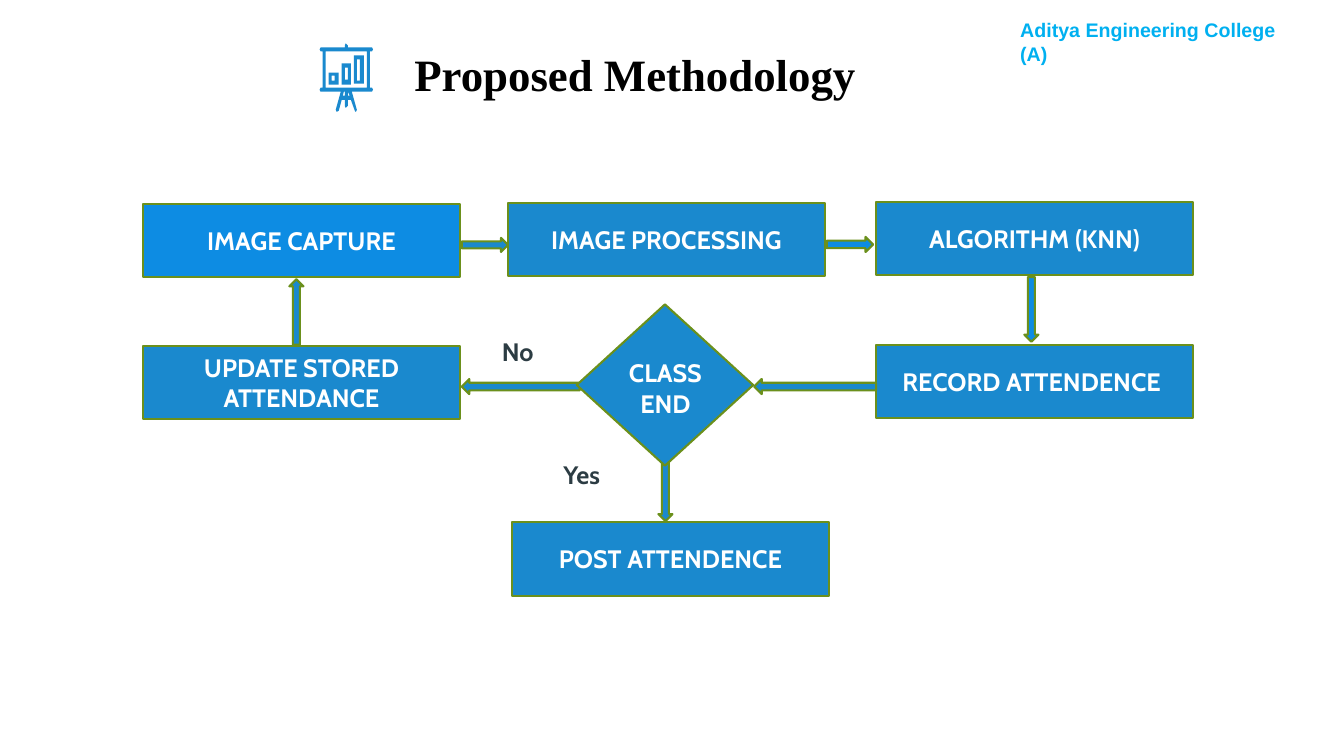
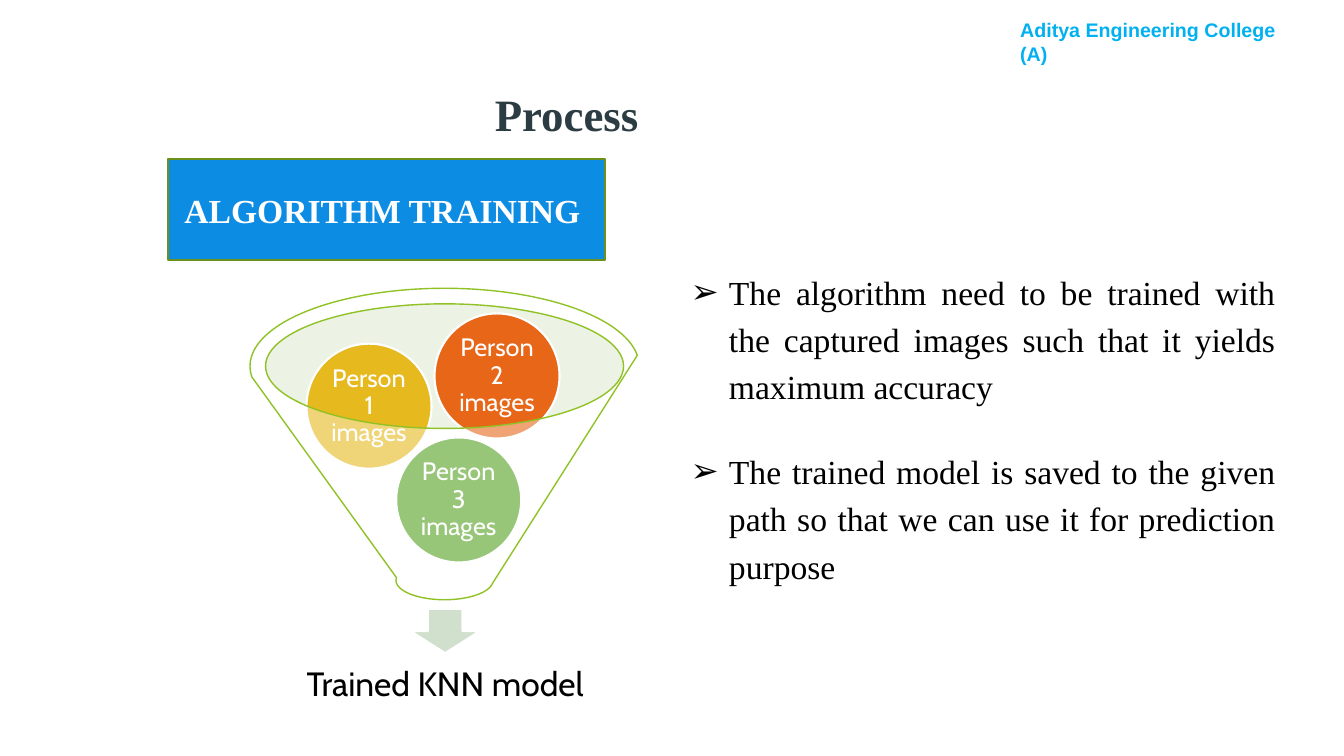
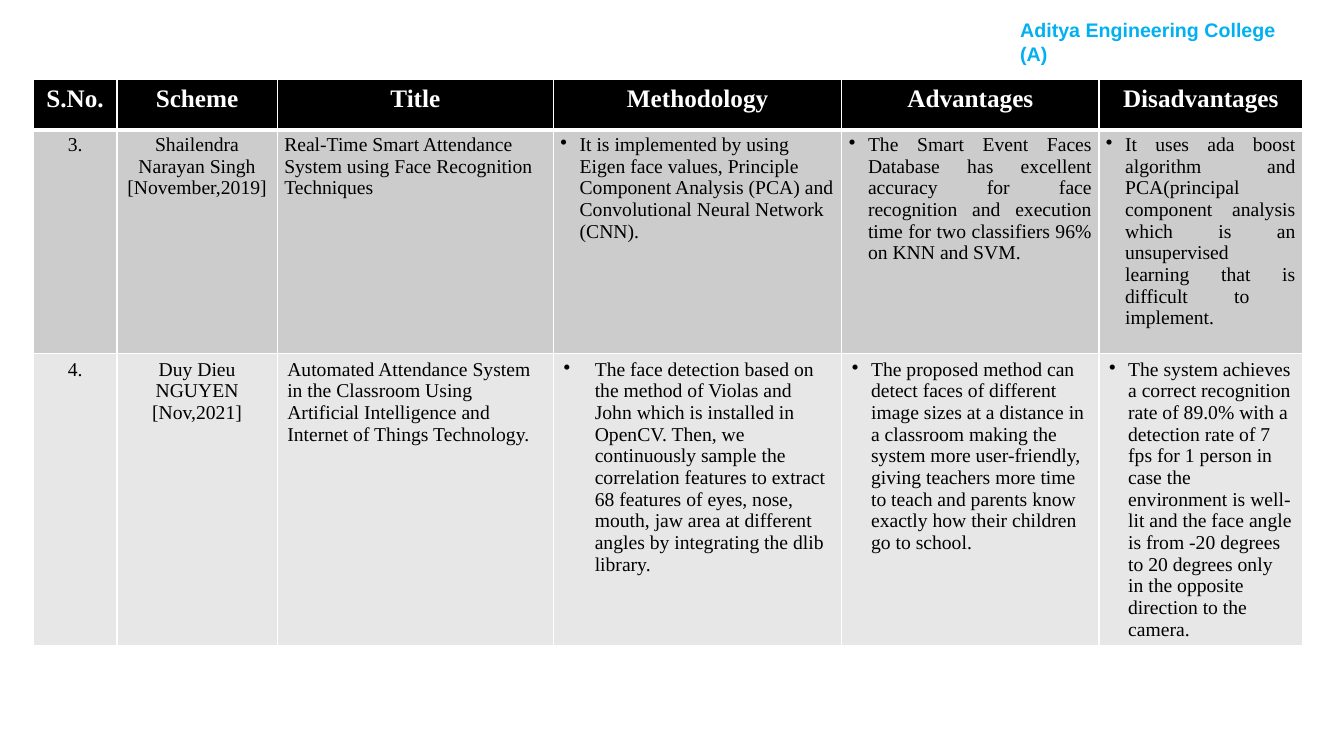
from lxml import etree
from pptx import Presentation
from pptx.dml.color import RGBColor
from pptx.enum import shapes, text
from pptx.oxml.ns import qn
from pptx.util import Inches, Pt

C = {
    "blue": "1A89CE", "bright": "0D8CE3", "edge": "6B901C", "header": "00B0F0",
    "dark": "2C3C43", "black": "000000", "white": "FFFFFF",
    "green": "54A021", "yellow": "E6B91E", "orange": "E76618", "lime": "90C226",
    "mouth": "D1E3BE", "pale": "D1DFCD", "row1": "CCCCCC", "row2": "E7E7E7",
}
SERIF, CABIN = "Times New Roman", "Cabin"
SH, AL, AN = shapes.MSO_SHAPE, text.PP_ALIGN, text.MSO_ANCHOR


def write(tf, lines, color, name=CABIN, size=18, bold=False, align=AL.CENTER,
          bullet=None, indent=0, para={}, frame={}):
    for key, value in {"word_wrap": True, "auto_size": text.MSO_AUTO_SIZE.NONE, **frame}.items():
        setattr(tf, key, value)
    for i, line in enumerate(lines):
        p = tf.paragraphs[0] if i == 0 else tf.add_paragraph()
        for key, value in {"alignment": align, "space_before": Pt(0), **para}.items():
            setattr(p, key, value)
        if bullet:
            pPr = p._p.get_or_add_pPr()
            pPr.set("marL", str(Inches(indent)))
            pPr.set("indent", str(-Inches(indent)))
            etree.SubElement(pPr, qn("a:buChar")).set("char", bullet)
        r = p.add_run()
        r.text = line
        for key, value in {"name": name, "size": Pt(size), "bold": bold}.items():
            setattr(r.font, key, value)
        r.font.color.rgb = RGBColor.from_string(C[color])


def draw(s, kind, at, fill, line="edge", width=1.5, alpha=None):
    sp = s.shapes.add_shape(kind, *map(Inches, at))
    sp.shadow.inherit = False
    sp.fill.solid()
    sp.fill.fore_color.rgb = RGBColor.from_string(C[fill])
    if alpha:
        clr = sp.fill._xPr.find(qn("a:solidFill"))[0]
        etree.SubElement(clr, qn("a:alpha")).set("val", str(alpha * 1000))
    if line:
        sp.line.color.rgb = RGBColor.from_string(C[line])
        sp.line.width = Pt(width)
    else:
        sp.line.fill.background()
    return sp


prs = Presentation()
prs.slide_width, prs.slide_height = Inches(13.33), Inches(7.5)
flow, process, survey = [prs.slides.add_slide(prs.slide_layouts[i]) for i in (5, 1, 6)]

for s in (flow, process, survey):
    tb = s.shapes.add_textbox(*map(Inches, (10.02, 0.13, 2.83, 0.34)))
    write(tb.text_frame, ["Aditya Engineering College (A)"], "header", "Arial", 14, True, AL.LEFT)

for s, title, at, color in [
    (flow, "Proposed Methodology", (1.6, 0.36, 9.4, 0.8), "black"),
    (process, "Process", (0.92, 0.76, 9.4, 0.74), "dark"),
]:
    sp = s.shapes.title
    sp.left, sp.top, sp.width, sp.height = map(Inches, at)
    write(sp.text_frame, [title], color, SERIF, 32, True,
          frame={"vertical_anchor": AN.TOP, "margin_top": Inches(0.1)})

easel = [
    (343, 43), (342, 45), (342, 47), (318, 47), (317, 49), (318, 51), (320, 51), (320, 87),
    (318, 87), (317, 89), (318, 91), (338, 91), (333, 109), (334, 111), (336, 110), (339, 99),
    (342, 99), (342, 105), (343, 107), (345, 105), (345, 99), (348, 99), (352, 110), (353, 111),
    (354, 109), (349, 91), (369, 91), (370, 89), (369, 87), (367, 87), (367, 51), (369, 51),
    (370, 49), (369, 47), (345, 47), (345, 45),
]
legs = [[(342, 91), (342, 95), (340, 95), (341, 91)], [(345, 91), (347, 95), (345, 95)]]
frames = [(323, 51, 364, 87), (326, 72, 336, 84), (329, 75, 332, 80), (339, 63, 348, 84),
          (342, 67, 345, 79), (351, 55, 361, 83), (354, 59, 357, 80)]
outlines = legs + [[(l, t), (r, t), (r, b), (l, b)] for l, t, r, b in frames]
fb = flow.shapes.build_freeform(*easel[0], scale=Inches(0.01))
fb.add_line_segments(easel[1:])
for outline in outlines:
    fb.move_to(*outline[0])
    fb.add_line_segments(outline[1:])
icon = fb.convert_to_shape()
icon.shadow.inherit = False
icon.fill.solid()
icon.fill.fore_color.rgb = RGBColor.from_string(C["blue"])
icon.line.fill.background()

for label, x, y, fill in [
    ("ALGORITHM (KNN)", 8.69, 2, "blue"),
    ("IMAGE CAPTURE", 1.42, 2.02, "bright"),
    ("IMAGE PROCESSING", 5.04, 2.01, "blue"),
    ("RECORD ATTENDENCE ", 8.69, 3.42, "blue"),
    ("POST ATTENDENCE", 5.08, 5.18, "blue"),
    ("UPDATE STORED ATTENDANCE", 1.42, 3.43, "blue"),
]:
    sp = draw(flow, SH.RECTANGLE, (x, y, 3.14, 0.73), fill)
    write(sp.text_frame, [label], "white", bold=True)

for kind, at, fill in [
    (SH.RIGHT_ARROW, (4.58, 2.36, 0.46, 0.14), "blue"),
    (SH.RIGHT_ARROW, (8.2, 2.35, 0.46, 0.15), "bright"),
    (SH.DOWN_ARROW, (10.16, 2.75, 0.14, 0.64), "bright"),
    (SH.LEFT_ARROW, (4.58, 3.76, 1.17, 0.15), "blue"),
    (SH.LEFT_ARROW, (7.48, 3.76, 1.21, 0.15), "blue"),
    (SH.UP_ARROW, (2.87, 2.77, 0.14, 0.65), "blue"),
    (SH.DOWN_ARROW, (6.53, 4.59, 0.14, 0.58), "blue"),
    (SH.DIAMOND, (5.72, 3.02, 1.75, 1.6), "blue"),
]:
    draw(flow, kind, at, fill)

for lines, at, color, align in [
    (["Yes"], (5.49, 4.51, 0.88, 0.54), "dark", AL.LEFT),
    (["No"], (4.88, 3.29, 0.88, 0.54), "dark", AL.LEFT),
    (["CLASS", "END"], (5.5, 3.5, 2.2, 0.94), "white", AL.CENTER),
]:
    tb = flow.shapes.add_textbox(*map(Inches, at))
    write(tb.text_frame, lines, color, bold=True, align=align)

sp = draw(process, SH.RECTANGLE, (1.67, 1.58, 4.33, 1), "bright")
write(sp.text_frame, ["ALGORITHM TRAINING "], "white", SERIF, 24, True)

body = process.placeholders[1]
body.left, body.top, body.width, body.height = map(Inches, (6.75, 2.58, 6, 3.07))
write(body.text_frame, [
    "The algorithm need to be trained with the captured images such that it yields maximum accuracy",
    "The trained model is saved to the given path so that we can use it for prediction purpose",
], "black", SERIF, 24, align=AL.JUSTIFY, bullet="➢", indent=0.38,
    para={"line_spacing": 1.17, "space_after": Pt(27)})

draw(process, SH.OVAL, (2.63, 3.01, 3.56, 1.24), "mouth", None, alpha=40)
draw(process, SH.DOWN_ARROW, (4.07, 6.04, 0.69, 0.44), "pale", "white")
tb = process.shapes.add_textbox(*map(Inches, (2.76, 6.39, 3.31, 0.83)))
write(tb.text_frame, ["Trained KNN model"], "black", size=24,
      para={"line_spacing": 0.9}, frame={"vertical_anchor": AN.MIDDLE})

margins = {f"margin_{side}": Inches(0.03) for side in ("left", "top", "right", "bottom")}
for n, x, y, fill in [(3, 3.93, 4.34, "green"), (1, 3.04, 3.41, "yellow"), (2, 4.31, 3.11, "orange")]:
    sp = draw(process, SH.OVAL, (x, y, 1.24, 1.24), fill, "white")
    write(sp.text_frame, [f"Person {n} images"], "white", para={"line_spacing": 0.9}, frame=margins)
draw(process, SH.FUNNEL, (2.48, 2.86, 3.86, 3.09), "white", "lime", 1, alpha=40)

rows = [
    [["S.No."], ["Scheme"], ["Title"], ["Methodology"], ["Advantages"], ["Disadvantages"]],
    [
        ["3."],
        ["Shailendra Narayan Singh", "[November,2019]"],
        ["Real-Time Smart Attendance System using Face Recognition Techniques"],
        ["It is implemented by using Eigen face values, Principle Component Analysis (PCA) "
         "and Convolutional Neural Network (CNN)."],
        ["The Smart Event Faces Database has excellent accuracy for face recognition and "
         "execution time for two classifiers 96% on KNN and SVM."],
        ["It uses ada boost algorithm and PCA(principal component analysis which is an "
         "unsupervised learning that is difficult to  implement."],
    ],
    [
        ["4."],
        ["Duy Dieu NGUYEN", "[Nov,2021]"],
        ["Automated Attendance System in the Classroom Using Artificial Intelligence and "
         "Internet of Things Technology."],
        ["The face detection based on the method of Violas and John which is installed in "
         "OpenCV. Then, we continuously sample the correlation features to extract 68 features "
         "of eyes, nose, mouth, jaw area at different angles by integrating the dlib library."],
        ["The proposed method can detect faces of different image sizes at a distance in a "
         "classroom making the system more user-friendly, giving teachers more time to teach "
         "and parents know exactly how their children go to school."],
        ["The system achieves a correct recognition rate of 89.0% with a detection rate of "
         "7 fps for 1 person in case the environment is well-lit and the face angle is from "
         "-20 degrees to 20 degrees only in the opposite direction to the camera."],
    ],
]
tbl = survey.shapes.add_table(3, 6, *map(Inches, (0.33, 0.79, 12.58, 4.79))).table
for col, w in zip(tbl.columns, (0.83, 1.59, 2.74, 2.86, 2.55, 2.02)):
    col.width = Inches(w)
for row, h in zip(tbl.rows, (0.5, 2.22, 2.07)):
    row.height = Inches(h)

for i, row in enumerate(rows):
    for j, lines in enumerate(row):
        cell = tbl.cell(i, j)
        tcPr = cell._tc.get_or_add_tcPr()
        for side in "LRTB":
            thick = (i, side) in ((0, "B"), (1, "T"))
            ln = etree.SubElement(tcPr, qn(f"a:ln{side}"), w=str(Pt(3 if thick else 1)))
            etree.SubElement(etree.SubElement(ln, qn("a:solidFill")), qn("a:srgbClr"), val=C["white"])
        cell.fill.solid()
        cell.fill.fore_color.rgb = RGBColor.from_string(C[("black", "row1", "row2")[i]])
        if i == 1:
            cell.margin_left = cell.margin_right = Inches(0.07)
            cell.margin_top = cell.margin_bottom = Inches(0.04)
        listed = i > 0 and j > 2
        align = AL.CENTER if i == 0 or j < 2 else AL.JUSTIFY if i == 1 and j > 3 else AL.LEFT
        write(cell.text_frame, lines, "black" if i else "white", SERIF, 14 if i else 18, i == 0,
              align, "•" if listed else None, 0.31 if (i, j) == (2, 3) else 0.19)

prs.save("out.pptx")
